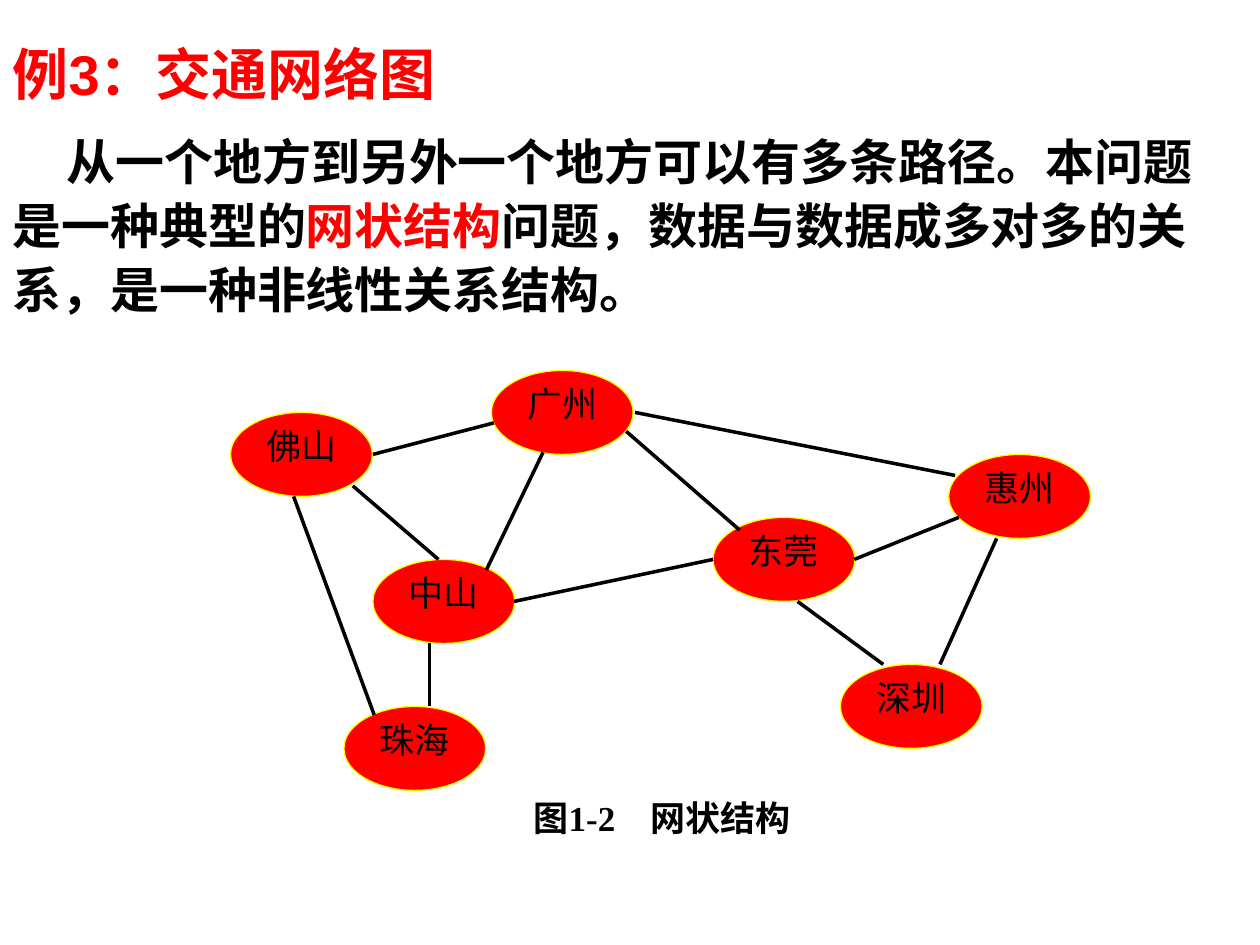
"""Build the traffic network slide: a heading, an explanation and a graph of cities."""
from lxml import etree
from pptx import Presentation
from pptx.dml.color import RGBColor
from pptx.enum.shapes import MSO_CONNECTOR, MSO_SHAPE
from pptx.enum.text import MSO_ANCHOR, MSO_AUTO_SIZE, PP_ALIGN
from pptx.oxml.ns import qn
from pptx.util import Inches, Pt

OVAL, STRAIGHT = MSO_SHAPE.OVAL, MSO_CONNECTOR.STRAIGHT
TOP, MIDDLE = MSO_ANCHOR.TOP, MSO_ANCHOR.MIDDLE
LEFT, CENTER = PP_ALIGN.LEFT, PP_ALIGN.CENTER
COLORS = {"red": "FF0000", "yellow": "FFFF00", "black": "000000"}
CJK = "Noto Sans CJK SC"

prs = Presentation()
prs.slide_width, prs.slide_height = Inches(10), Inches(7.5)
s = prs.slides.add_slide(prs.slide_layouts[5])
COL, ROW = prs.slide_width / 100, prs.slide_height / 45
GRAPH_TOP = Inches(2.94)


def rgb(name):
    return RGBColor.from_string(COLORS[name])


def write(sp, runs, font, size, bold, align, anchor, margins=(0.1, 0.05), **spacing):
    tf = sp.text_frame
    frame = {"word_wrap": True, "auto_size": MSO_AUTO_SIZE.NONE, "vertical_anchor": anchor,
             "margin_left": Inches(margins[0]), "margin_right": Inches(margins[0]),
             "margin_top": Inches(margins[1]), "margin_bottom": Inches(margins[1])}
    for key, value in frame.items():
        setattr(tf, key, value)
    p = tf.paragraphs[0]
    p.alignment = align
    for key, value in spacing.items():
        setattr(p, key, value)
    for text, color in runs:
        r = p.add_run()
        r.text = text
        for key, value in {"name": font, "size": Pt(size), "bold": bold}.items():
            setattr(r.font, key, value)
        r.font.color.rgb = rgb(color)
        etree.SubElement(r.font._element, qn("a:ea")).set("typeface", CJK)
    return p


title = s.shapes.title
place = {"left": 0, "top": Inches(0.21), "width": Inches(9.62), "height": Inches(0.74)}
for key, value in place.items():
    setattr(title, key, value)
write(title, [("例3：交通网络图", "red")], "Arial", 32, True, LEFT, MIDDLE)

body = s.shapes.add_textbox(0, Inches(0.95), Inches(9.62), Inches(1.62))
p = write(body, [("从一个地方到另外一个地方可以有多条路径。本问题是一种典型的", "black"),
                 ("网状结构", "red"),
                 ("问题，数据与数据成多对多的关系，是一种非线性关系结构。", "black")],
          "Arial", 28, True, LEFT, TOP, line_spacing=Pt(36.6))
p._p.get_or_add_pPr().set("indent", str(Inches(0.43)))

cities = [("佛山", 18.3, 2), ("惠州", 75.3, 4), ("广州", 39, 0), ("中山", 29.6, 9),
          ("东莞", 56.6, 7), ("深圳", 66.7, 14), ("珠海", 27.3, 16)]
for city, x, y in cities:
    sp = s.shapes.add_shape(OVAL, int(x * COL), int(GRAPH_TOP + y * ROW),
                            int(11.25 * COL), int(4 * ROW))
    sp.shadow.inherit = False
    sp.fill.solid()
    sp.fill.fore_color.rgb = rgb("red")
    sp.line.color.rgb = rgb("yellow")
    sp.line.width = Pt(0.75)
    write(sp, [(city, "black")], "Times New Roman", 20, False, CENTER, TOP, (0, 0))

roads = [(34.1, 16, 34.1, 13), (34.8, 9, 28, 5.5), (56.6, 9, 40.8, 11),
         (58.7, 7.6, 49.7, 2.9), (70.1, 14, 63.3, 11), (74.6, 14, 79.1, 8),
         (75.8, 5, 50.4, 2), (38.6, 9.5, 43.1, 3.9), (39.2, 2.5, 29.6, 4),
         (76.1, 7, 67.8, 9), (29.7, 16.4, 23.3, 6)]
for x1, y1, x2, y2 in roads:
    road = s.shapes.add_connector(STRAIGHT, int(x1 * COL), int(GRAPH_TOP + y1 * ROW),
                                  int(x2 * COL), int(GRAPH_TOP + y2 * ROW))
    road.line.color.rgb = rgb("black")
    road.line.width = Pt(2)
    etree.SubElement(road._element.spPr, qn("a:effectLst"))

caption = s.shapes.add_textbox(Inches(3.92), Inches(6.24), Inches(2.67), Inches(0.5))
write(caption, [("图1-2　网状结构", "black")], "Times New Roman", 20, True, CENTER, MIDDLE)

prs.save("out.pptx")
